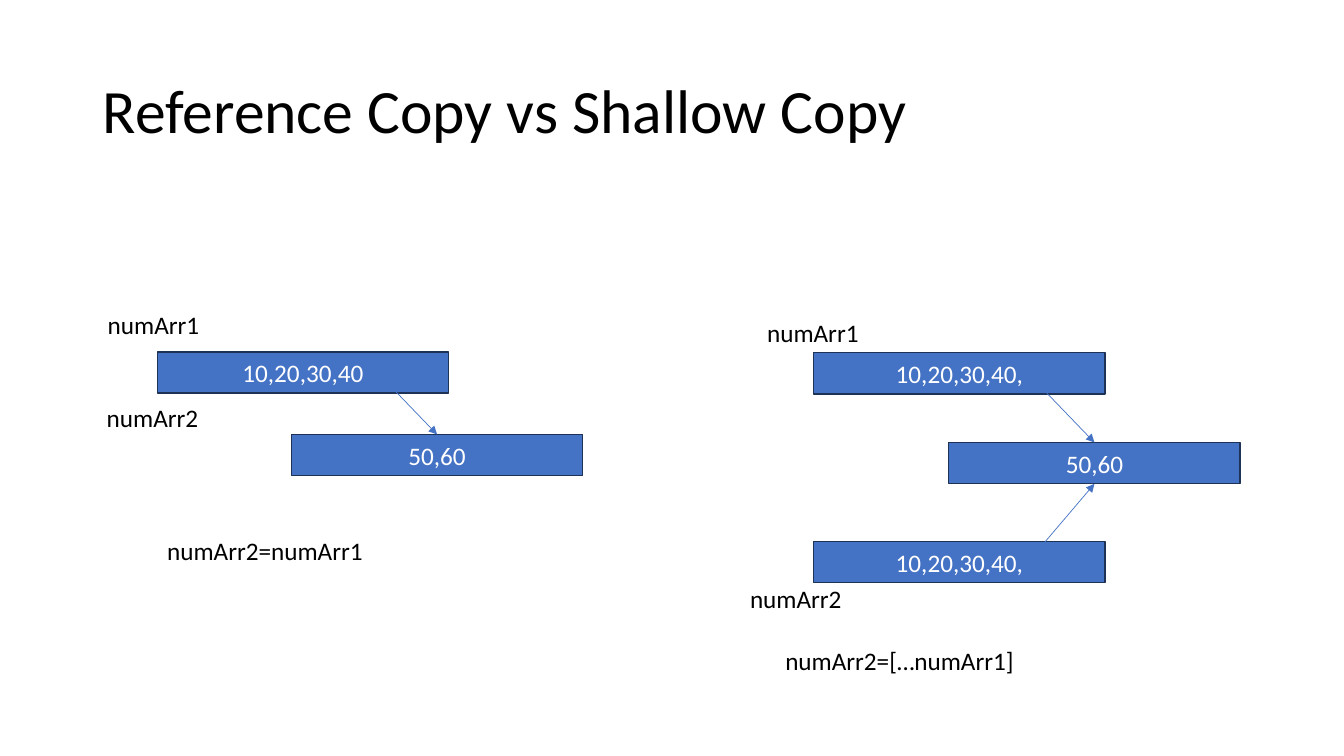
from dataclasses import dataclass

from lxml import etree
from pptx import Presentation
from pptx.dml.color import RGBColor
from pptx.enum.shapes import MSO_CONNECTOR, MSO_SHAPE
from pptx.enum.text import MSO_ANCHOR, MSO_AUTO_SIZE, PP_ALIGN
from pptx.oxml.ns import qn
from pptx.util import Inches, Pt

LEFT, CENTER = PP_ALIGN.LEFT, PP_ALIGN.CENTER
MIDDLE = MSO_ANCHOR.MIDDLE
NO_AUTOFIT, GROW = MSO_AUTO_SIZE.NONE, MSO_AUTO_SIZE.SHAPE_TO_FIT_TEXT
RECTANGLE, STRAIGHT = MSO_SHAPE.RECTANGLE, MSO_CONNECTOR.STRAIGHT
TOP_SIDE, BOTTOM_SIDE = 0, 2


@dataclass(frozen=True)
class Theme:
    font: str = "Calibri"
    title_size: int = 44
    body_size: int = 18
    text: RGBColor = RGBColor(0x00, 0x00, 0x00)
    box_text: RGBColor = RGBColor(0xFF, 0xFF, 0xFF)
    accent: RGBColor = RGBColor(0x44, 0x72, 0xC4)
    outline: RGBColor = RGBColor(0x1E, 0x32, 0x56)


THEME = Theme()


def write(frame, text, size, color, align):
    frame.text = text
    paragraph = frame.paragraphs[0]
    paragraph.alignment = align
    paragraph.font.name = THEME.font
    paragraph.font.size = Pt(size)
    paragraph.font.color.rgb = color


presentation = Presentation()
presentation.slide_width = Inches(13.33)
presentation.slide_height = Inches(7.5)
slide = presentation.slides.add_slide(presentation.slide_layouts[5])

heading = slide.shapes.title
heading.left, heading.top = Inches(0.92), Inches(0.4)
heading.width, heading.height = Inches(11.5), Inches(1.45)
write(heading.text_frame, "Reference Copy vs Shallow Copy", THEME.title_size, THEME.text, LEFT)
heading.text_frame.paragraphs[0].line_spacing = 0.9
heading.text_frame.vertical_anchor = MIDDLE
heading.text_frame.auto_size = NO_AUTOFIT

# Array contents: text, left, top
arrays = {
    "reference": ("10,20,30,40", 1.56, 3.49),
    "reference added": ("50,60", 2.89, 4.31),
    "shallow source": ("10,20,30,40,", 8.07, 3.5),
    "shallow added": ("50,60", 9.41, 4.39),
    "shallow clone": ("10,20,30,40,", 8.07, 5.37),
}
array_boxes = {}
for array, (values, left, top) in arrays.items():
    box = slide.shapes.add_shape(RECTANGLE, Inches(left), Inches(top), Inches(2.89), Inches(0.41))
    box.shadow.inherit = False
    box.fill.solid()
    box.fill.fore_color.rgb = THEME.accent
    box.line.color.rgb = THEME.outline
    box.line.width = Pt(1)
    box.text_frame.vertical_anchor = MIDDLE
    write(box.text_frame, values, THEME.body_size, THEME.box_text, CENTER)
    array_boxes[array] = box

# Variable names and assignments: text, left, top, width
for label, left, top, width in (
    ("numArr1", 0.97, 3.02, 1.12),
    ("numArr2", 0.96, 3.94, 1.12),
    ("numArr2=numArr1", 1.56, 5.26, 2.16),
    ("numArr1", 7.51, 3.1, 1.12),
    ("numArr2", 7.34, 5.74, 1.12),
    ("numArr2=[…numArr1]", 7.69, 6.35, 2.49),
):
    caption = slide.shapes.add_textbox(Inches(left), Inches(top), Inches(width), Inches(0.4))
    caption.text_frame.word_wrap = False
    caption.text_frame.auto_size = GROW
    write(caption.text_frame, label, THEME.body_size, THEME.text, LEFT)

# Arrows to the added values: start, target array, side it meets
for start_x, start_y, target, side in (
    (3.68, 3.63, "reference added", TOP_SIDE),
    (10.2, 3.71, "shallow added", TOP_SIDE),
    (10.2, 5.57, "shallow added", BOTTOM_SIDE),
):
    start = Inches(start_x), Inches(start_y)
    arrow = slide.shapes.add_connector(STRAIGHT, *start, *start)
    arrow.end_connect(array_boxes[target], side)
    arrow.line.color.rgb = THEME.accent
    arrow.line.width = Pt(0.5)
    etree.SubElement(arrow.line._get_or_add_ln(), qn("a:tailEnd"), type="triangle")
    etree.SubElement(arrow._element.spPr, qn("a:effectLst"))

presentation.save("out.pptx")
